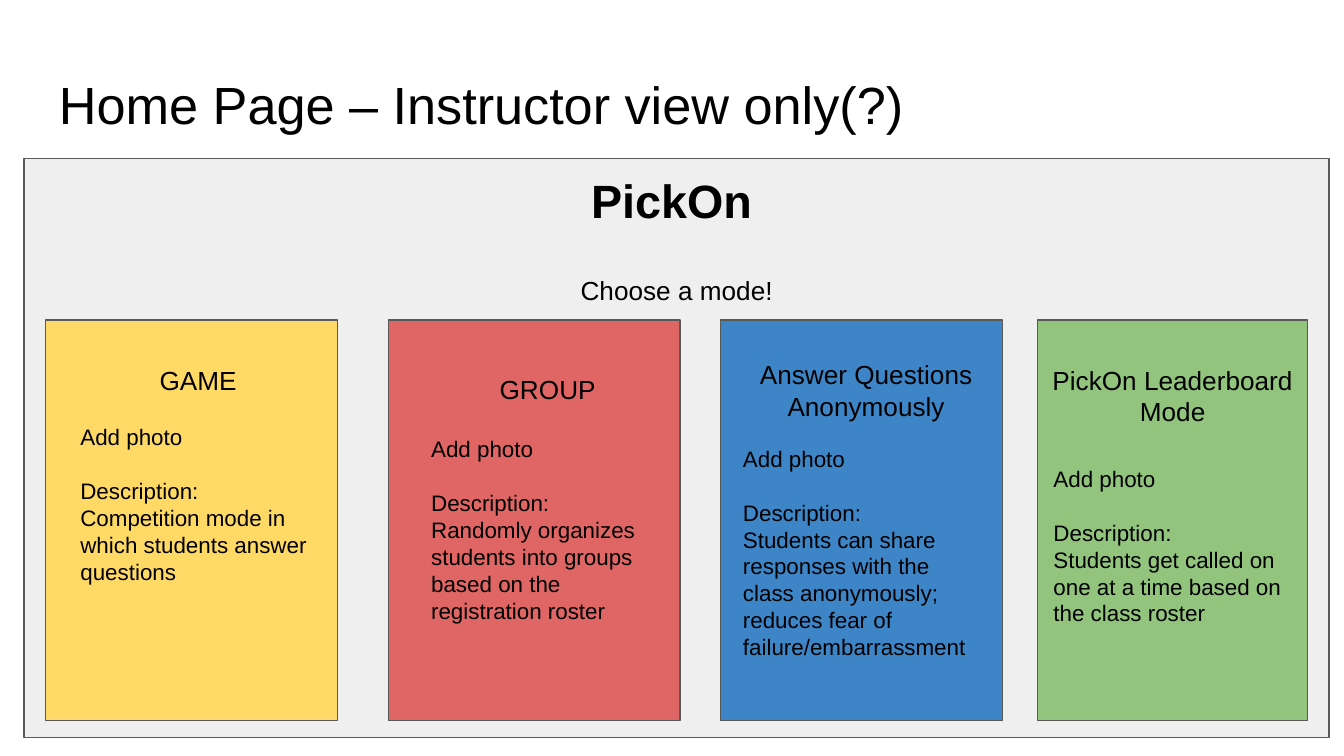
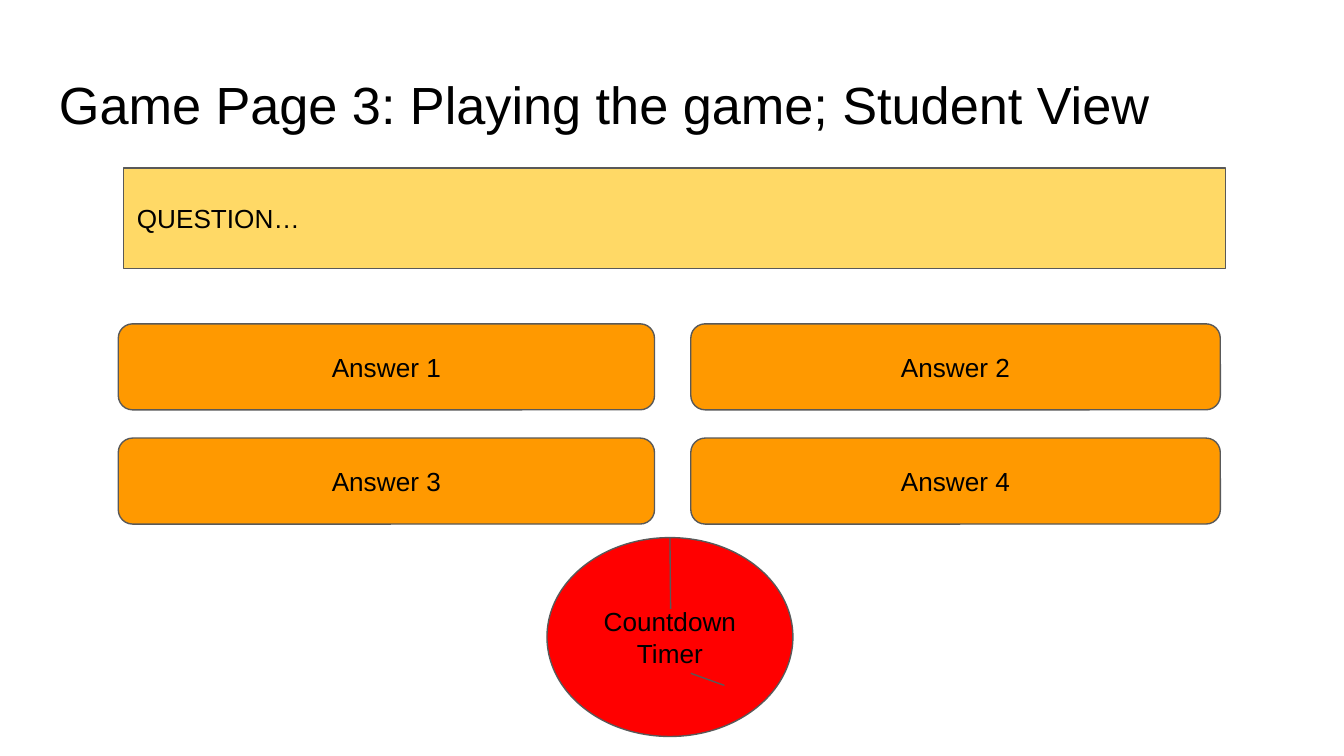
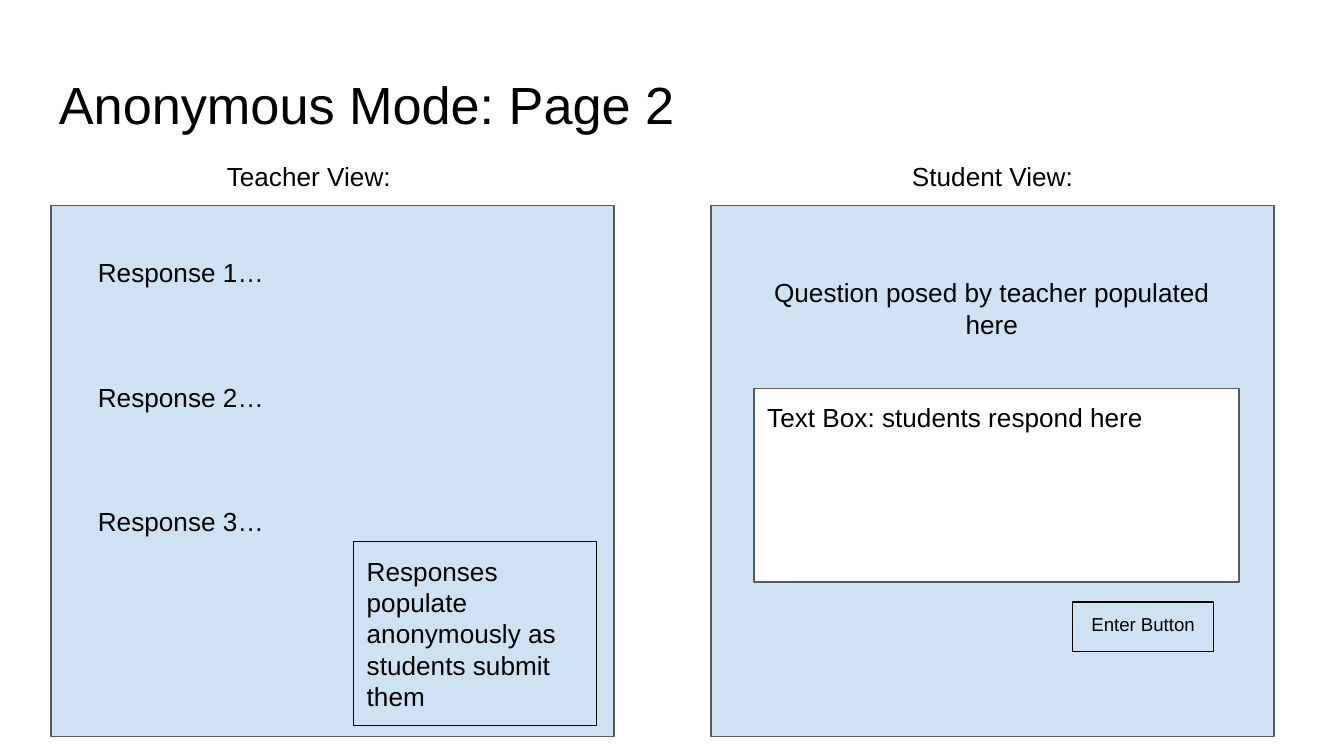
from dataclasses import dataclass

from lxml import etree
from pptx import Presentation
from pptx import util as u
from pptx.dml import color
from pptx.enum import shapes, text
from pptx.oxml import ns

SHAPE = shapes.MSO_SHAPE
LEFT, MID = text.PP_ALIGN.LEFT, text.PP_ALIGN.CENTER


@dataclass(frozen=True)
class Theme:
    font: str = "Arial"
    ink: str = "000000"
    edge: str = "595959"
    white: str = "FFFFFF"
    panel: str = "EFEFEF"
    gold: str = "FFD966"
    rose: str = "E06666"
    blue: str = "3D85C6"
    green: str = "93C47D"
    orange: str = "FF9900"
    red: str = "FF0000"
    sky: str = "CFE2F3"
    title: int = 28
    brand: int = 25
    body: int = 14
    note: int = 12
    small: int = 10
    stroke: float = 0.75
    inset: float = 0.1


THEME = Theme()


def rgb(code):
    return color.RGBColor.from_string(code)


def write(frame, lines, size=THEME.body, bold=False, align=LEFT,
          middle=False, spacing=None, gap=0, grow=False):
    """Fill a frame; gap is the space in points above the second paragraph."""
    frame.word_wrap = True
    if grow:
        frame.auto_size = text.MSO_AUTO_SIZE.SHAPE_TO_FIT_TEXT
    frame.margin_left = frame.margin_right = u.Inches(THEME.inset)
    frame.margin_top = frame.margin_bottom = u.Inches(THEME.inset)
    anchor = text.MSO_ANCHOR
    frame.vertical_anchor = anchor.MIDDLE if middle else anchor.TOP
    lines = [lines] if isinstance(lines, str) else lines
    for i, line in enumerate(lines):
        para = frame.paragraphs[0] if i == 0 else frame.add_paragraph()
        para.alignment = align
        if spacing:
            para.line_spacing = spacing
        if i == 1 and gap:
            para.space_before = u.Pt(gap)
        run = para.add_run()
        run.text = line
        run.font.name = THEME.font
        run.font.size = u.Pt(size)
        run.font.bold = bold
        run.font.color.rgb = rgb(THEME.ink)


class Deck:
    def __init__(self, theme):
        self.theme = theme
        self.file = Presentation()
        width = u.Inches(10)
        self.file.slide_width = width
        self.file.slide_height = width * 9 // 16
        self.slide = None

    def page(self, title):
        self.slide = self.file.slides.add_slide(self.file.slide_layouts[6])
        self.label((0.34, 0.49, 9.32, 0.63), title,
                   size=self.theme.title, spacing=0.9, grow=False)

    def label(self, box, lines, grow=True, **style):
        item = self.slide.shapes.add_textbox(*map(u.Inches, box))
        write(item.text_frame, lines, grow=grow, **style)

    def shape(self, box, fill=None, lines=None, kind=SHAPE.RECTANGLE,
              edge=None, **style):
        item = self.slide.shapes.add_shape(kind, *map(u.Inches, box))
        item.shadow.inherit = False
        if fill:
            item.fill.solid()
            item.fill.fore_color.rgb = rgb(fill)
        else:
            item.fill.background()
        self.stroke(item, edge)
        if lines:
            write(item.text_frame, lines, **style)
        return item

    def line(self, start, end):
        item = self.slide.shapes.add_connector(
            shapes.MSO_CONNECTOR.STRAIGHT, *map(u.Inches, start + end))
        self.stroke(item)
        etree.SubElement(item._element.spPr, ns.qn("a:effectLst"))
        return item

    def stroke(self, item, edge=None):
        item.line.color.rgb = rgb(edge or self.theme.edge)
        item.line.width = u.Pt(self.theme.stroke)


def home(deck):
    th = deck.theme
    deck.page("Home Page – Instructor view only(?)")
    deck.shape((0.18, 1.18, 9.71, 4.31), th.panel)
    deck.label((3, 1.18, 3.99, 0.62), "PickOn",
               size=th.brand, bold=True, align=MID)
    deck.label((2.98, 1.94, 4.11, 0.43), "Choose a mode!", align=MID)

    # Mode cards: fill, card left and width, heading and its box,
    # note left, top and height, description
    modes = [
        (th.gold, 0.34, 2.17, "GAME", (0.51, 2.61, 1.93, 0.43),
         (0.5, 3.05, 1.8),
         ["Description: Competition mode in which students answer questions"]),
        (th.rose, 2.89, 2.17, "GROUP", (2.99, 2.68, 2.17, 0.43),
         (3.11, 3.14, 1.6),
         ["Description:", "Randomly organizes students into groups "
          "based on the registration roster"]),
        (th.blue, 5.36, 2.1, "Answer Questions Anonymously",
         (5.36, 2.57, 2.17, 0.67), (5.43, 3.21, 2.2),
         ["Description:", "Students can share responses with the class "
          "anonymously; reduces fear of failure/embarrassment"]),
        (th.green, 7.72, 2.01, "PickOn Leaderboard Mode",
         (7.72, 2.61, 2.01, 0.67), (7.74, 3.36, 1.8),
         ["Description:", "Students get called on one at a time "
          "based on the class roster"]),
    ]
    for fill, left, width, head, box, (x, y, tall), about in modes:
        deck.shape((left, 2.38, width, 2.98), fill)
        deck.label(box, head, align=MID)
        deck.label((x, y, 1.93, tall), ["Add photo"] + about,
                   size=th.note, gap=14.5)


def game(deck):
    th = deck.theme
    deck.page("Game Page 3: Playing the game; Student View")
    deck.shape((0.92, 1.25, 8.2, 0.75), th.gold, "QUESTION…", middle=True)

    # Answer grid
    cols = [(0.88, 3.99), (5.14, 3.94)]
    for i in range(4):
        row, col = divmod(i, 2)
        left, width = cols[col]
        deck.shape((left, 2.41 + 0.85 * row, width, 0.64), th.orange,
                   f"Answer {i + 1}", kind=SHAPE.ROUNDED_RECTANGLE,
                   align=MID, middle=True)

    # Timer with its two hands
    timer = deck.shape((4.07, 4, 1.83, 1.48), th.red, "Countdown Timer",
                       kind=SHAPE.OVAL, align=MID, middle=True)
    deck.line((4.99, 4.53), (4.98, 4)).end_connect(timer, 0)
    deck.line((5.14, 5.01), (5.39, 5.1))


def anon(deck):
    th = deck.theme
    deck.page("Anonymous Mode: Page 2")

    # Both views
    for left, x, name in [(0.38, 0.68, "Teacher View: "),
                          (5.29, 5.74, "Student View:")]:
        deck.shape((left, 1.53, 4.19, 3.95), th.sky)
        deck.label((x, 1.09, 3.29, 0.43), name, align=MID)

    # Teacher side
    for i, top in enumerate((1.81, 2.74, 3.66), 1):
        deck.label((0.63, top, 3.5, 0.43), f"Response {i}…")
    deck.shape((2.63, 4.03, 1.81, 1.37), edge=th.ink, grow=True,
               lines="Responses populate anonymously as students submit them")

    # Student side
    deck.label((5.57, 1.96, 3.62, 0.67),
               "Question posed by teacher populated here", align=MID)
    deck.shape((5.61, 2.89, 3.61, 1.44), th.white,
               "Text Box: students respond here")
    deck.shape((7.98, 4.48, 1.05, 0.37), edge=th.ink, lines="Enter Button",
               size=th.small, align=MID, grow=True)


def main():
    deck = Deck(THEME)
    for build in (home, game, anon):
        build(deck)
    deck.file.save("out.pptx")


if __name__ == "__main__":
    main()
